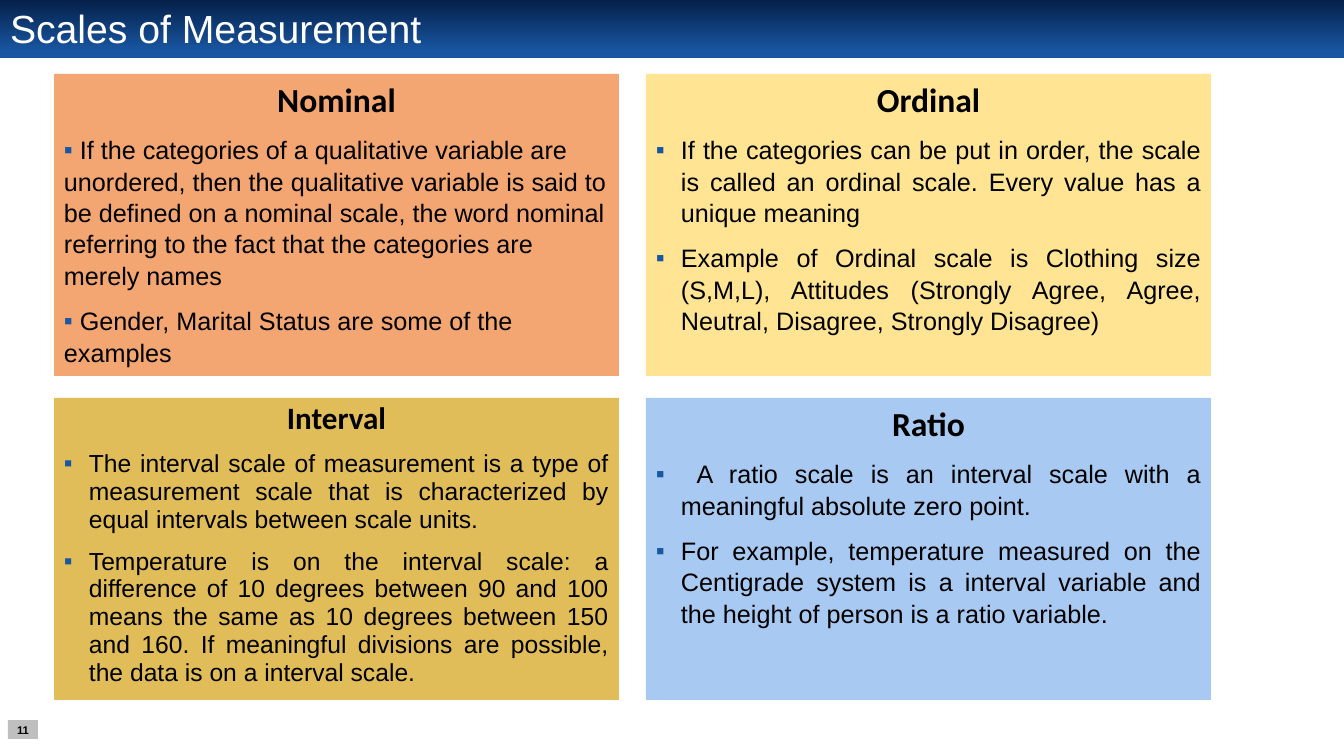
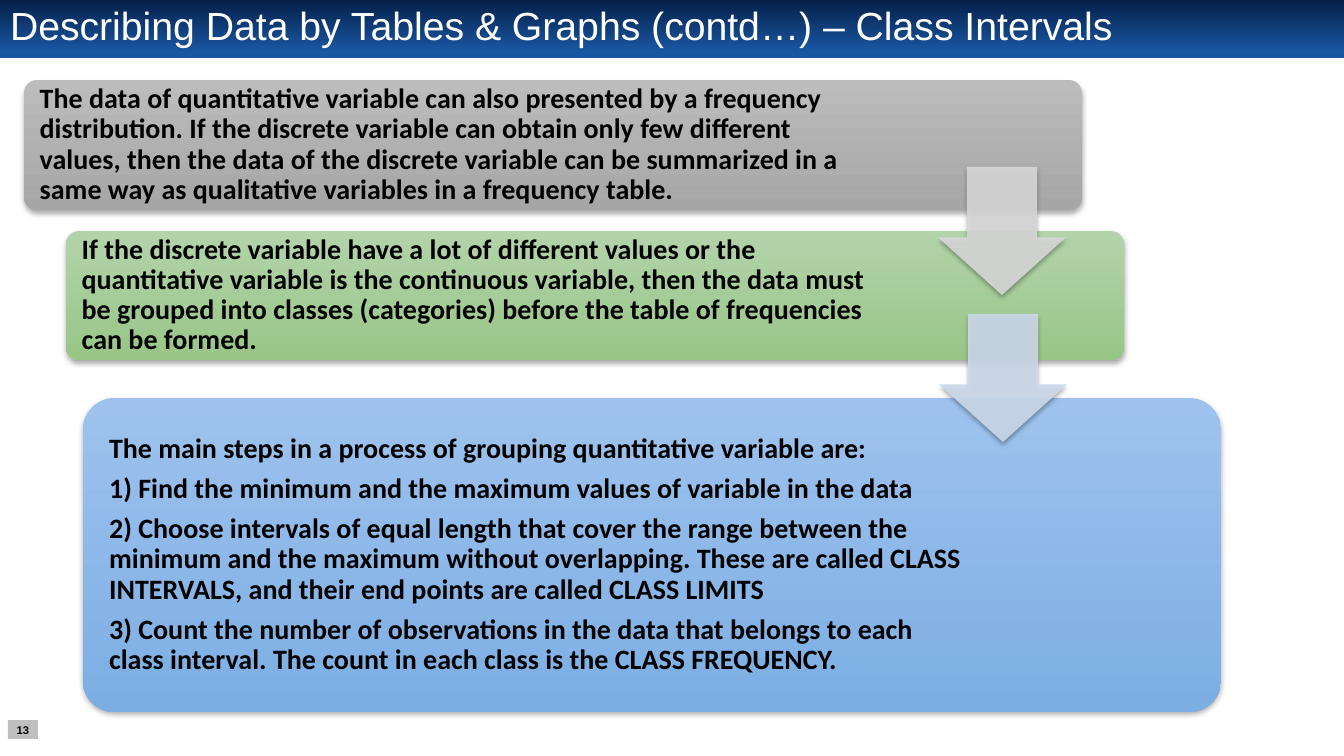
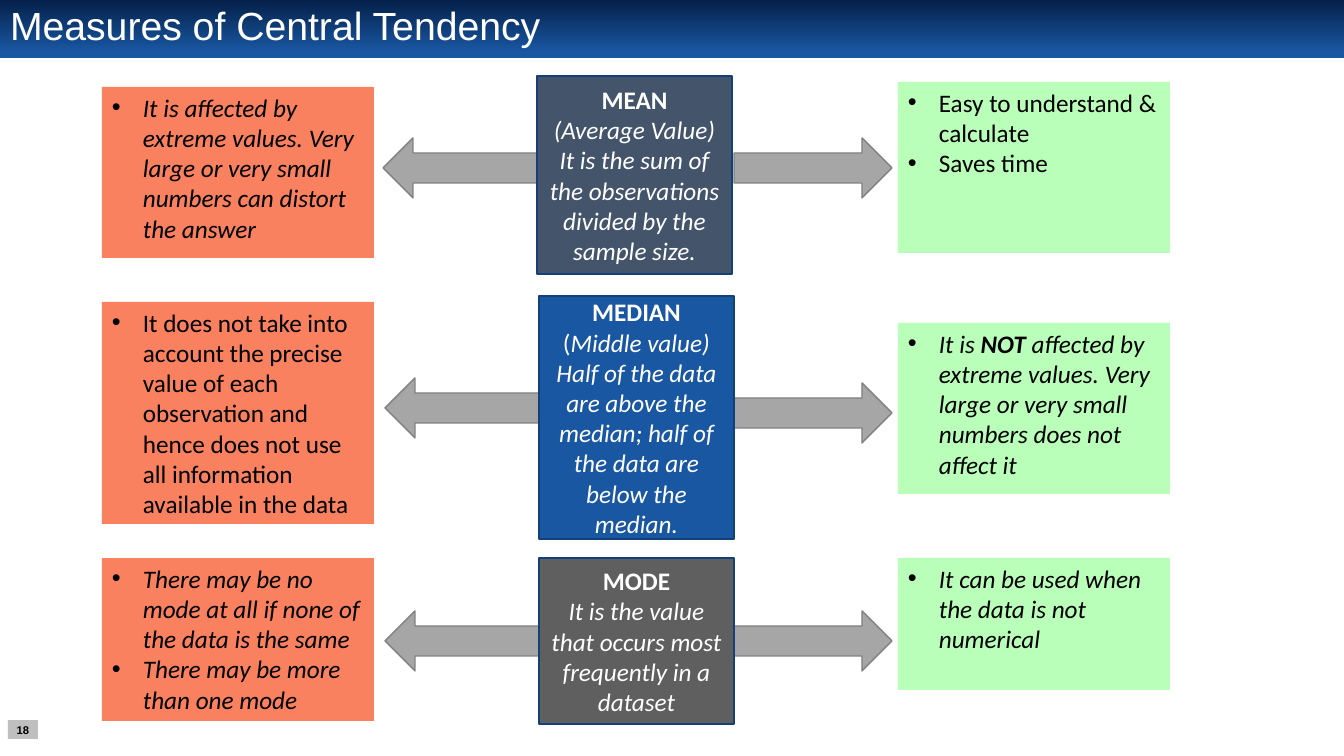
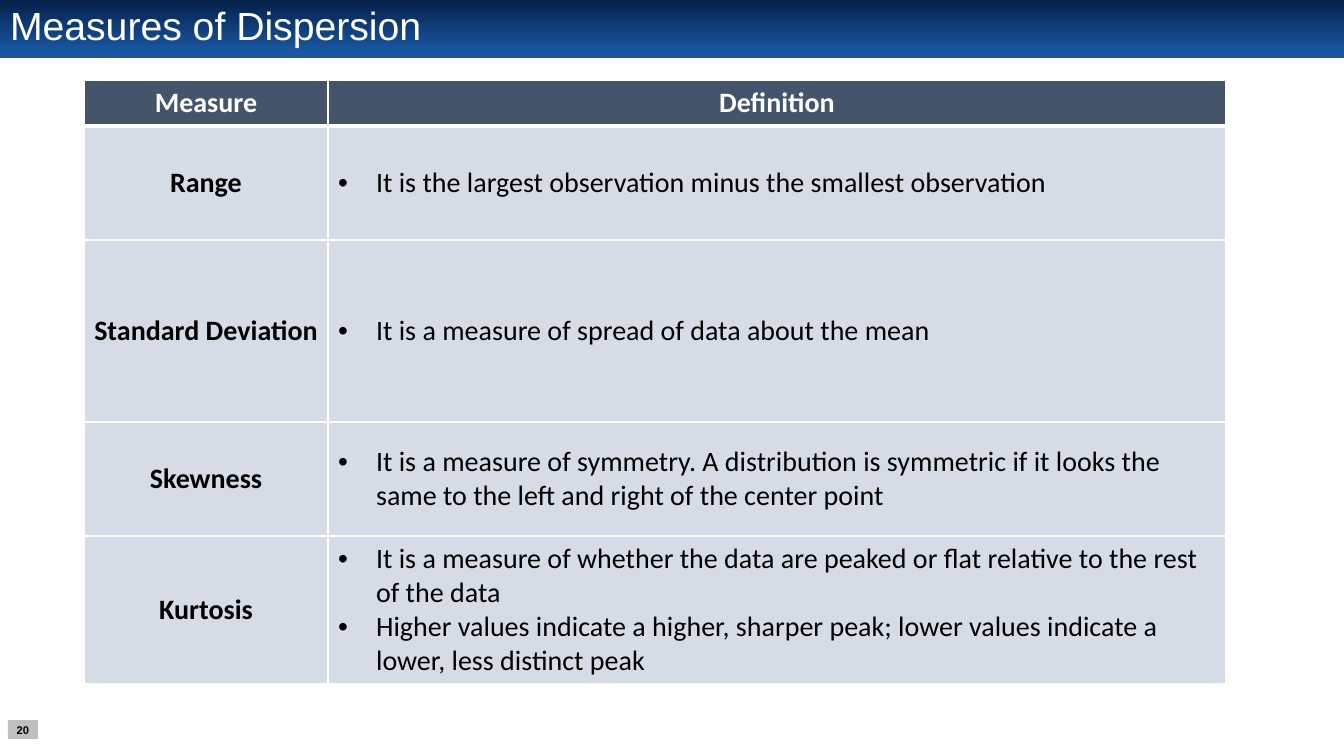
from lxml.etree import SubElement
from pptx import Presentation
from pptx.dml.color import RGBColor
from pptx.enum.shapes import MSO_SHAPE as SHAPE
from pptx.enum.text import MSO_ANCHOR as ANCHOR, PP_ALIGN as ALIGN
from pptx.oxml.ns import qn
from pptx.util import Emu, Pt

EMU_PER_PX = 914400 / 100.8
WIDTH, HEIGHT = 1344, 756
BLACK, WHITE, BLUE = "000000", "FFFFFF", "1957A3"
NAVY, SLATE, PALE = "052049", "44546A", "D6DCE5"

# (heading, bullets, fill, heading size, text size, heading spacing, text spacing)
SCALES = [
    ("Nominal", [
        " If the categories of a qualitative variable are unordered, then the qualitative variable is said to "
        "be deﬁned on a nominal scale, the word nominal referring to the fact that the categories are merely names",
        " Gender, Marital Status are some of the examples",
    ], "F3A671", 24, 18, 1.0, 1.04),
    ("Ordinal", [
        "If the categories can be put in order, the scale is called an ordinal scale. Every value has a unique meaning",
        "Example of Ordinal scale is Clothing size (S,M,L), Attitudes (Strongly Agree, Agree, Neutral, "
        "Disagree, Strongly Disagree)",
    ], "FFE593", 24, 18, 1.0, 1.04),
    ("Interval", [
        "The interval scale of measurement is a type of measurement scale that is characterized by equal "
        "intervals between scale units.",
        "Temperature is on the interval scale: a difference of 10 degrees between 90 and 100 means the same as "
        "10 degrees between 150 and 160. If meaningful divisions are possible, the data is on a interval scale.",
    ], "E1BD59", 22.2, 17.6, 0.9, 0.94),
    ("Ratio", [
        " A ratio scale is an interval scale with a meaningful absolute zero point.",
        "For example, temperature measured on the Centigrade system is a interval variable and the height of "
        "person is a ratio variable.",
    ], "A8C9F2", 24, 18, 1.0, 1.04),
]

# (box, text left, text right, gradient, paragraphs)
STEPS = [
    ((24, 80, 1058, 130), 36, 871, ("BCBCBC", "A6A6A6"), [
        "The data of quantitative variable can also presented by a frequency distribution. If the discrete "
        "variable can obtain only few diﬀerent values, then the data of the discrete variable can be summarized "
        "in a same way as qualitative variables in a frequency table."]),
    ((66, 231, 1058, 129), 78, 888, ("B3D3AA", "98C687"), [
        "If the discrete variable have a lot of diﬀerent values or the quantitative variable is the continuous "
        "variable, then the data must be grouped into classes (categories) before the table of frequencies can "
        "be formed."]),
    ((83, 398, 1138, 314), 100, 972, ("9EC2ED", "7CAEE4"), [
        "The main steps in a process of grouping quantitative variable are:",
        "1) Find the minimum and the maximum values of variable in the data",
        "2) Choose intervals of equal length that cover the range between the minimum and the maximum without "
        "overlapping. These are called CLASS INTERVALS, and their end points are called CLASS LIMITS",
        "3) Count the number of observations in the data that belongs to each class interval. The count in each "
        "class is the CLASS FREQUENCY."]),
]
STEP_ARROWS = [((938, 167, 128, 128), "D8D8D8"), ((939, 314, 128, 128), "CCD9EA")]

# Paragraphs are lists of (text, flags) runs; flags: b bold, i italic
AVERAGES = [
    {"box": (537, 76, 195, 198), "fill": SLATE,
     "text": [[("MEAN", "b")], [("(Average Value)", "i")],
              [("It is the sum of the observations divided by the sample size.", "i")]],
     "con": (87, 171, [[("It is affected by extreme values. Very large or very small numbers can distort "
                         "the answer", "i")]]),
     "pro": (82, 171, [[("Easy to understand & calculate", "")], [("Saves time", "")]]),
     "arrows": (138, 138)},
    {"box": (539, 296, 195, 243), "fill": BLUE,
     "text": [[("MEDIAN", "b")],
              [("(", ""), ("Middle value) Half of the data are above the median; half of the data are below "
                           "the median.", "i")]],
     "con": (302, 222, [[("It does not take into account the precise value of each observation and hence does "
                          "not use all information available in the data", "")]]),
     "pro": (323, 171, [[("It is ", "i"), ("NOT", "bi"),
                         (" affected by extreme values. Very large or very small numbers does not affect it", "i")]]),
     "arrows": (378, 383)},
    {"box": (539, 558, 195, 166), "fill": "5F5F5F",
     "text": [[("MODE", "b")], [("It is the value that occurs most frequently in a dataset", "i")]],
     "con": (558, 163, [[("There may be no mode at all if none of the data is the same", "i")],
                        [("There may be more than one mode", "i")]]),
     "pro": (558, 132, [[("It can be used when the data is not numerical", "i")]]),
     "arrows": (611, 611)},
]

HEADER = ("Measure", "Definition")
DISPERSION = [
    ("Range", ["It is the largest observation minus the smallest observation"]),
    ("Standard Deviation", ["It is a measure of spread of data about the mean"]),
    ("Skewness", ["It is a measure of symmetry. A distribution is symmetric if it looks the same to the left "
                  "and right of the center point"]),
    ("Kurtosis", ["It is a measure of whether the data are peaked or flat relative to the rest of the data",
                  "Higher values indicate a higher, sharper peak; lower values indicate a lower, less distinct peak"]),
]
COLUMNS, ROWS = (244, 898), (46, 114, 182, 114, 148)


def px(n):
    return Emu(round(n * EMU_PER_PX))


def rgb(color):
    return RGBColor.from_string(color)


def add_box(slide, kind, box, fill, line=None):
    """Add a flat preset shape; a pair of colours as fill gives a downward gradient."""
    sp = slide.shapes.add_shape(kind, *map(px, box))
    sp.shadow.inherit = False
    if isinstance(fill, tuple):
        sp.fill.gradient()
        sp.fill.gradient_angle = 270
        for stop, color in zip(sp.fill.gradient_stops, fill):
            stop.color.rgb = rgb(color)
    else:
        sp.fill.solid()
        sp.fill.fore_color.rgb = rgb(fill)
    if line:
        sp.line.color.rgb = rgb(line)
        sp.line.width = Pt(1)
    else:
        sp.line.fill.background()
    return sp


def set_alpha(color, percent):
    SubElement(color, qn("a:alpha"), val=str(percent * 1000))


def add_shadow(sp):
    effects = sp.element.spPr.find(qn("a:effectLst"))
    shadow = SubElement(effects, qn("a:outerShdw"), blurRad=str(Pt(3.5)), dist=str(Pt(2.2)),
                        dir="5400000", rotWithShape="0")
    set_alpha(SubElement(shadow, qn("a:srgbClr"), val=BLACK), 32)


def add_bullet(p, char, color, hang):
    pPr = p._p.get_or_add_pPr()
    pPr.set("marL", str(px(hang)))
    pPr.set("indent", str(-px(hang)))
    SubElement(SubElement(pPr, qn("a:buClr")), qn("a:srgbClr"), val=color)
    SubElement(pPr, qn("a:buFont"), typeface="Arial")
    SubElement(pPr, qn("a:buChar"), char=char)


def write(tf, paragraphs, size, color=BLACK, font="Calibri", flags="", align=ALIGN.LEFT,
          spacing=1.0, before=0, after=0, bullet=None):
    """Append paragraphs, each a string or a list of (text, flags) runs."""
    for runs in paragraphs:
        first = not tf.paragraphs[0].runs
        p = tf.paragraphs[0] if first else tf.add_paragraph()
        if bullet:
            add_bullet(p, *bullet)
        p.alignment = align
        p.line_spacing = spacing
        p.space_before = Pt(0 if first else before)
        p.space_after = Pt(after)
        for text, marks in [(runs, flags)] if isinstance(runs, str) else runs:
            r = p.add_run()
            r.text = text
            r.font.name = font
            r.font.size = Pt(size)
            r.font.color.rgb = rgb(color)
            r.font.bold = "b" in marks
            r.font.italic = "i" in marks


def set_margins(target, left, top, right, bottom):
    target.margin_left, target.margin_top = px(left), px(top)
    target.margin_right, target.margin_bottom = px(right), px(bottom)


def new_slide(prs, title, number, title_top=5):
    slide = prs.slides.add_slide(prs.slide_layouts[5])
    sp = slide.shapes.title
    sp.left, sp.top, sp.width, sp.height = map(px, (0, title_top, WIDTH, 45))
    tf = sp.text_frame
    tf.vertical_anchor = ANCHOR.MIDDLE
    set_margins(tf, 10, 5, 10, 5)
    write(tf, [title], 28, WHITE, "Arial", spacing=0.9)
    tf = add_box(slide, SHAPE.RECTANGLE, (8, 720, 30, 19), "BFBFBF").text_frame
    set_margins(tf, 0, 0, 0, 0)
    tf.word_wrap = False
    write(tf, [number], 8, font="Arial", flags="b", align=ALIGN.CENTER)
    return slide


def add_band_to_layout(prs, slide):
    """Draw the title band once, then hand it to the layout that all slides share."""
    band = add_box(slide, SHAPE.RECTANGLE, (0, 0, WIDTH, 58), (NAVY, BLUE))
    band.fill.gradient_stops[1].position = 0.9
    prs.slide_layouts[5].shapes.element.insert(2, band.element)


def scales_slide(prs):
    slide = new_slide(prs, "Scales of Measurement", "11", title_top=8)
    add_band_to_layout(prs, slide)
    for i, (name, bullets, fill, name_size, size, name_spacing, spacing) in enumerate(SCALES):
        row, col = divmod(i, 2)
        sp = add_box(slide, SHAPE.RECTANGLE, (54 + col * 592, 74 + row * 324, 565, 302), fill)
        tf = sp.text_frame
        tf.vertical_anchor = ANCHOR.TOP
        write(tf, [name], name_size, flags="b", align=ALIGN.CENTER, spacing=name_spacing)
        hang, align = (25, ALIGN.JUSTIFY) if i else (0, ALIGN.LEFT)
        write(tf, bullets, size, font="Arial", align=align, spacing=spacing, before=10,
              bullet=("▪", BLUE, hang))


def intervals_slide(prs):
    slide = new_slide(prs, "Describing Data by Tables & Graphs (contd…) – Class Intervals", "13")
    for box, text_left, text_right, fill, paragraphs in STEPS:
        sp = add_box(slide, SHAPE.ROUNDED_RECTANGLE, box, fill)
        sp.adjustments[0] = 0.1
        add_shadow(sp)
        set_margins(sp.text_frame, text_left - box[0], 8, box[0] + box[2] - text_right, 8)
        write(sp.text_frame, paragraphs, 20, flags="b", spacing=0.9, after=7)
    for box, fill in STEP_ARROWS:
        sp = add_box(slide, SHAPE.DOWN_ARROW, box, fill)
        sp.adjustments[0], sp.adjustments[1] = 0.55, 0.45
        set_alpha(sp.element.spPr.find(qn("a:solidFill"))[0], 90)
        add_shadow(sp)


def averages_slide(prs):
    slide = new_slide(prs, "Measures of Central Tendency", "18")
    for average in AVERAGES:
        left, _, width, _ = average["box"]
        con_top, pro_top = average["arrows"]
        add_box(slide, SHAPE.LEFT_ARROW, (left - 154, con_top, 154, 60), "A6A6A6", "808080")
        add_box(slide, SHAPE.RIGHT_ARROW, (734, pro_top, 158, 60), "A6A6A6", "808080")
        sp = add_box(slide, SHAPE.RECTANGLE, average["box"], average["fill"], "124079")
        write(sp.text_frame, average["text"], 18, WHITE, align=ALIGN.CENTER)
        for side, x, fill in (("con", 102, "FA8160"), ("pro", 898, "B9FFB9")):
            top, height, points = average[side]
            tf = add_box(slide, SHAPE.RECTANGLE, (x, top, 272, height), fill).text_frame
            tf.vertical_anchor = ANCHOR.TOP
            write(tf, points, 18, bullet=("•", BLACK, 31))


def fill_cell(cell, fill, bottom=1):
    """Give a cell white borders, then its fill."""
    tcPr = cell._tc.get_or_add_tcPr()
    for side, width in (("L", 1), ("R", 1), ("T", 1), ("B", bottom)):
        ln = SubElement(tcPr, qn("a:ln" + side), w=str(Pt(width)))
        SubElement(SubElement(ln, qn("a:solidFill")), qn("a:srgbClr"), val=WHITE)
    cell.fill.solid()
    cell.fill.fore_color.rgb = rgb(fill)
    cell.vertical_anchor = ANCHOR.MIDDLE


def dispersion_slide(prs):
    slide = new_slide(prs, "Measures of Dispersion", "20")
    frame = slide.shapes.add_table(len(ROWS), len(COLUMNS), px(84), px(80), px(sum(COLUMNS)), px(sum(ROWS)))
    table = frame.table
    for column, width in zip(table.columns, COLUMNS):
        column.width = px(width)
    for row, height in zip(table.rows, ROWS):
        row.height = px(height)
    for col, name in enumerate(HEADER):
        cell = table.cell(0, col)
        fill_cell(cell, SLATE, bottom=3)
        write(cell.text_frame, [name], 20, WHITE, flags="b", align=ALIGN.CENTER)
    for i, (measure, definitions) in enumerate(DISPERSION, 1):
        name_cell, text_cell = table.cell(i, 0), table.cell(i, 1)
        fill_cell(name_cell, PALE)
        fill_cell(text_cell, PALE)
        set_margins(name_cell, 6, 5, 6, 5)
        write(name_cell.text_frame, [measure], 20, flags="b", align=ALIGN.CENTER)
        write(text_cell.text_frame, definitions, 20, bullet=("•", BLACK, 38))


def main():
    prs = Presentation()
    prs.slide_width, prs.slide_height = px(WIDTH), px(HEIGHT)
    for build in (scales_slide, intervals_slide, averages_slide, dispersion_slide):
        build(prs)
    prs.save("out.pptx")


if __name__ == "__main__":
    main()
